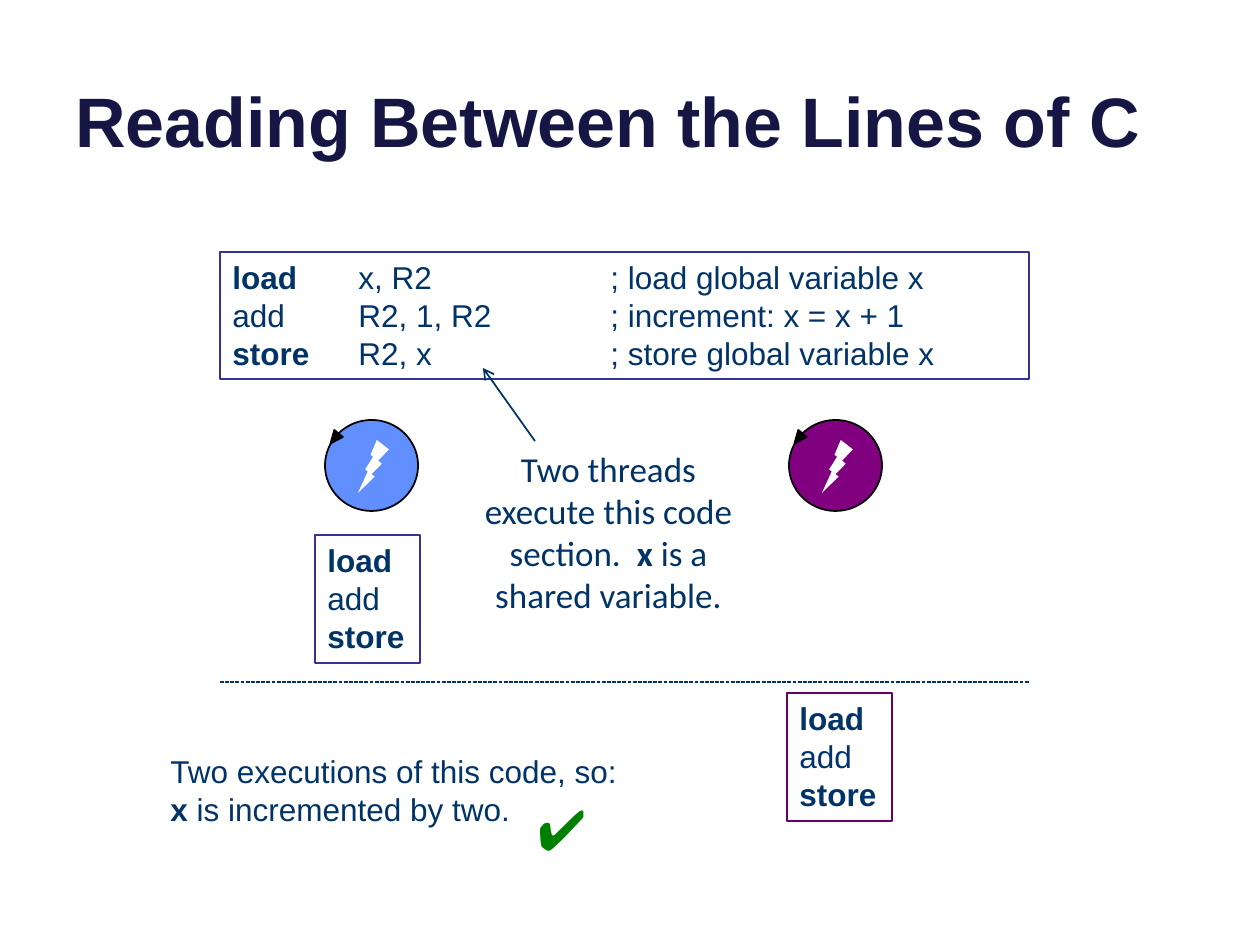
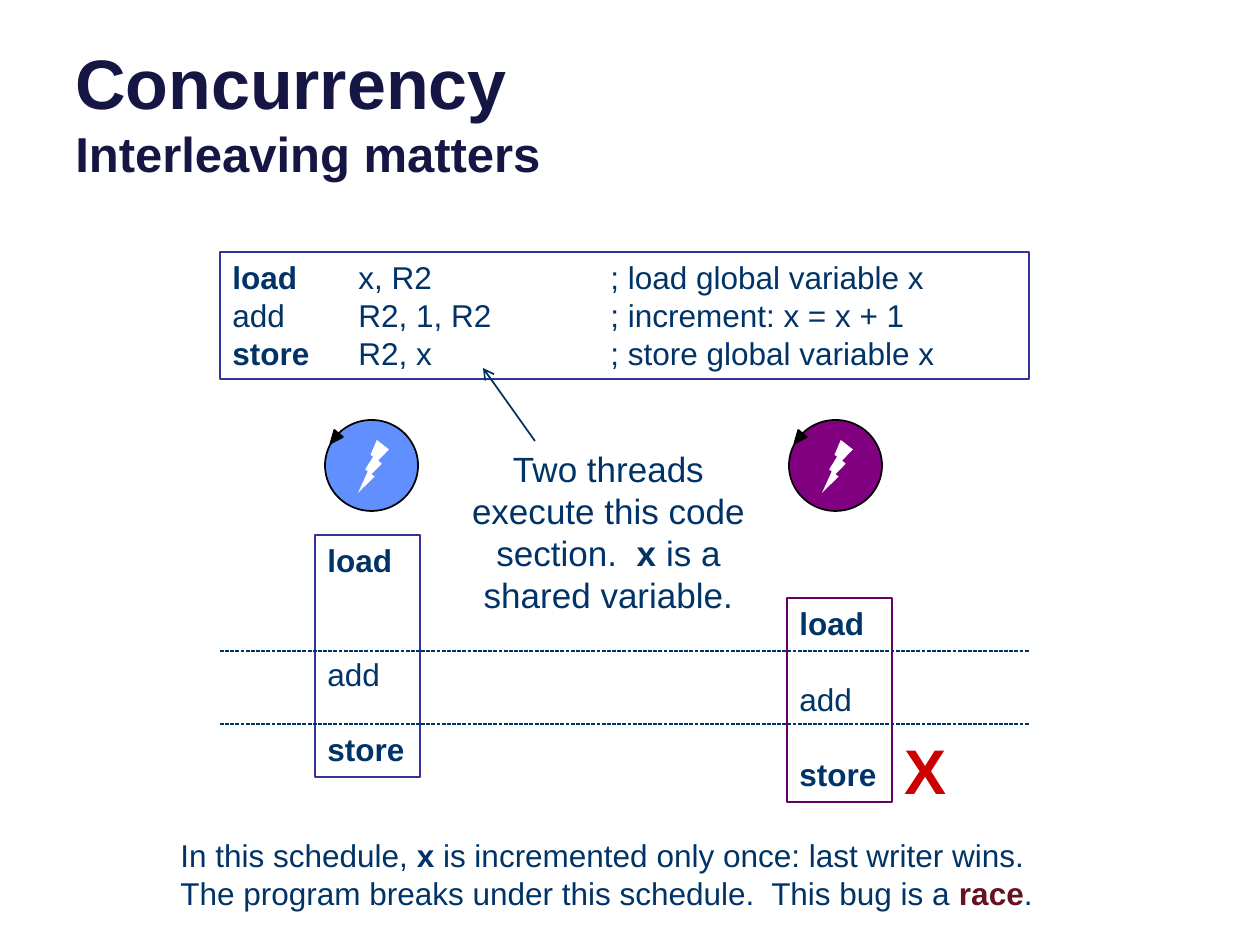
import pptx
import pptx.dml.color
import pptx.enum.dml
import pptx.enum.shapes
import pptx.enum.text
import pptx.oxml.ns
import pptx.util
from lxml import etree

SCALE = 914400 / 126
SHAPE = pptx.enum.shapes.MSO_SHAPE
LEFT = pptx.enum.text.PP_ALIGN.LEFT
CENTER = pptx.enum.text.PP_ALIGN.CENTER

NAVY, INK, RACE = "161645", "003367", "651222"
WHITE, BLACK, GREEN, RED = "FFFFFF", "000000", "008000", "CC0000"
BLUE_LINE, PURPLE_LINE = "333399", "660066"
FONT, LINE_HEIGHT, CODE_SIZE = "Arial", 1.2, 18

# Text between ** marks is bold.
LISTING = [
    "**load**\tx, R2\t; load global variable x",
    "add\tR2, 1, R2\t; increment: x = x + 1",
    "**store**\tR2, x\t; store global variable x",
]
LISTING_TABS = (126, 378)
STEPS = ["**load**", "add", "**store**"]
CALLOUT = ["Two threads execute this code section.  **x **is a shared variable."]
THREADS = [(325, "618FFD"), (789, "800080")]

# Each schedule: left, top, width, height, line colour, blank lines before each step
SLIDES = [
    {
        "title": [("Reading Between the Lines of C", 40)],
        "title_bottom": 168,
        "callout_font": "Calibri",
        "schedules": [(315, 535, 105, 128, BLUE_LINE, (0, 0, 0)),
                      (787, 693, 105, 128, PURPLE_LINE, (0, 0, 0))],
        "dividers": [682],
        "outcome": ["Two executions of this code, so:",
                    "**x **is incremented by two."],
        "outcome_at": (158, 746, 485, 89),
        "mark": ("✔", 32, GREEN, (525, 788, 73, 80)),
    },
    {
        "title": [("Concurrency", 40), ("Interleaving matters", 28)],
        "title_bottom": 189,
        "callout_font": FONT,
        "schedules": [(315, 535, 105, 242, BLUE_LINE, (0, 2, 1)),
                      (787, 598, 105, 204, PURPLE_LINE, (0, 1, 1))],
        "dividers": [651, 724],
        "outcome": [
            "In this schedule, **x** is incremented only once: last writer wins.",
            "The program breaks under this schedule.  This bug is a **race**.",
        ],
        "outcome_at": (168, 830, 904, 89),
        "mark": ("**X**", 36, RED, (892, 725, 106, 89)),
    },
]


def px(length):
    return pptx.util.Emu(round(length * SCALE))


def rgb(value):
    return pptx.dml.color.RGBColor.from_string(value)


def add_child(parent, tag, **attributes):
    return etree.SubElement(parent, pptx.oxml.ns.qn(tag), **attributes)


def write(box, lines, size=CODE_SIZE, color=INK, font=FONT, align=LEFT,
          gaps=(), tabs=()):
    """Fill a box with marked-up lines; gaps are blank line heights before each."""
    frame = box.text_frame
    frame.word_wrap = True
    frame.vertical_anchor = pptx.enum.text.MSO_ANCHOR.TOP
    height = round(size * LINE_HEIGHT, 2)
    for index, line in enumerate(lines):
        para = frame.paragraphs[0] if index == 0 else frame.add_paragraph()
        para.alignment = align
        para.line_spacing = pptx.util.Pt(height)
        if gaps and gaps[index]:
            para.space_before = pptx.util.Pt(gaps[index] * height)
        if tabs:
            stops = add_child(para._p.get_or_add_pPr(), "a:tabLst")
            for stop in tabs:
                add_child(stops, "a:tab", pos=str(px(stop)), algn="l")
        for part, text in enumerate(line.split("**")):
            if text:
                span = para.add_run()
                span.text = text
                span.font.name = font
                span.font.size = pptx.util.Pt(size)
                span.font.bold = part % 2 == 1
                span.font.color.rgb = rgb(color)


def add_text(page, at, lines, **style):
    box = page.shapes.add_textbox(*map(px, at))
    write(box, lines, **style)
    return box


def add_title(page, lines, bottom):
    height = 214
    box = page.shapes.add_textbox(*map(px, (63, bottom - height, 1134, height)))
    frame = box.text_frame
    frame.word_wrap = True
    frame.vertical_anchor = pptx.enum.text.MSO_ANCHOR.BOTTOM
    frame.text = "\n".join(text for text, size in lines)
    for para, (text, size) in zip(frame.paragraphs, lines):
        font = para.runs[0].font
        font.name, font.bold, font.size = FONT, True, pptx.util.Pt(size)
        font.color.rgb = rgb(NAVY)


def add_shape(shapes, kind, at, fill, line=None):
    shape = shapes.add_shape(kind, *map(px, at))
    shape.shadow.inherit = False
    shape.fill.solid()
    shape.fill.fore_color.rgb = rgb(fill)
    if line:
        shape.line.color.rgb = rgb(line)
        shape.line.width = pptx.util.Pt(1)
    else:
        shape.line.fill.background()
    return shape


def add_line(page, start, end, width):
    line = page.shapes.add_connector(
        pptx.enum.shapes.MSO_CONNECTOR.STRAIGHT, *map(px, start + end))
    line.line.color.rgb = rgb(INK)
    line.line.width = pptx.util.Pt(width)
    add_child(line._element.spPr, "a:effectLst")
    return line


def add_thread(page, left, color):
    """Circle with a lightning bolt and an arrowhead on its rim."""
    top = 420
    shapes = page.shapes.add_group_shape().shapes
    add_shape(shapes, SHAPE.OVAL, (left, top, 93, 91), color, BLACK)
    bolt = add_shape(shapes, SHAPE.LIGHTNING_BOLT, (left + 33, top + 20, 31, 53), WHITE)
    bolt._element.spPr.find(pptx.oxml.ns.qn("a:xfrm")).set("flipH", "1")
    head = add_shape(shapes, SHAPE.ISOSCELES_TRIANGLE,
                     (left + 4, top + 12, 11, 13), BLACK, BLACK)
    head.rotation = 219


def add_slide(deck, content):
    page = deck.slides.add_slide(deck.slide_layouts[6])
    add_title(page, content["title"], content["title_bottom"])

    listing = add_shape(page.shapes, SHAPE.RECTANGLE, (220, 252, 809, 127),
                        WHITE, BLUE_LINE)
    write(listing, LISTING, tabs=LISTING_TABS)
    for left, color in THREADS:
        add_thread(page, left, color)
    for *at, color, gaps in content["schedules"]:
        schedule = add_shape(page.shapes, SHAPE.RECTANGLE, at, WHITE, color)
        write(schedule, STEPS, gaps=gaps)
    for y in content["dividers"]:
        divider = add_line(page, (220, y), (1029, y), 0.75)
        divider.line.dash_style = pptx.enum.dml.MSO_LINE.SQUARE_DOT

    outcome = add_text(page, content["outcome_at"], content["outcome"])
    for para in outcome.text_frame.paragraphs:
        for span in para.runs:
            if span.text == "race":
                span.font.color.rgb = rgb(RACE)

    add_text(page, (451, 441, 315, 183), CALLOUT, size=20,
             font=content["callout_font"], align=CENTER)
    arrow = add_line(page, (535, 441), (483, 368), 1)
    add_child(arrow.line._get_or_add_ln(), "a:tailEnd", type="arrow")

    text, size, color, at = content["mark"]
    add_text(page, at, [text], size=size, color=color)


def main():
    deck = pptx.Presentation()
    deck.slide_width, deck.slide_height = px(1260), px(945)
    for content in SLIDES:
        add_slide(deck, content)
    deck.save("out.pptx")


if __name__ == "__main__":
    main()
